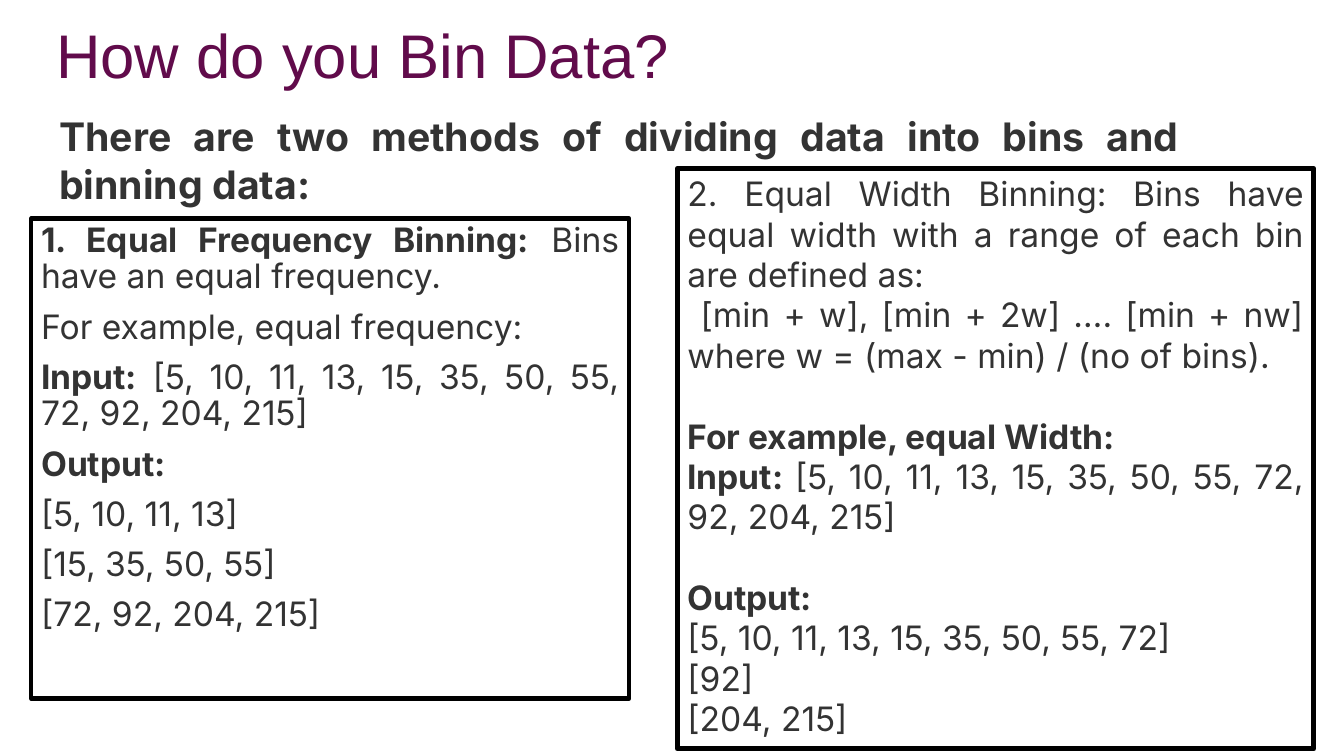
"""Build the slide on two ways of binning data."""
from dataclasses import dataclass

from pptx import Presentation
from pptx.dml.color import RGBColor
from pptx.enum.shapes import MSO_SHAPE
from pptx.enum.text import MSO_ANCHOR, PP_ALIGN
from pptx.slide import Slide
from pptx.util import Pt

RECT = MSO_SHAPE.RECTANGLE
TOP = MSO_ANCHOR.TOP
LEFT = PP_ALIGN.LEFT
JUST = PP_ALIGN.JUSTIFY
SCALE = 9144


@dataclass(frozen=True)
class Theme:
    """Colours, fonts and type sizes."""
    plum: str = "610B4B"
    ink: str = "333333"
    edge: str = "000000"
    paper: str = "FFFFFF"
    head: str = "Arial"
    text: str = "Inter"
    title: int = 44
    lead: int = 28
    body: int = 24


THEME = Theme()


@dataclass(frozen=True)
class Para:
    """A paragraph with an optional bold label before its text."""
    text: str = ""
    label: str = ""
    gap: int = 0


@dataclass(frozen=True)
class Block:
    """A block of text, framed when it has a border width."""
    left: int
    top: int
    width: int
    height: int
    paras: tuple[Para, ...]
    size: int = THEME.body
    face: str = THEME.text
    color: str = THEME.ink
    align: PP_ALIGN = JUST
    lines: float = 1.0
    inset: int = 5
    border: float = 0


BLOCKS = (
    Block(46, 16, 1150, 145, (Para("How do you Bin Data?"),),
          size=THEME.title, face=THEME.head, color=THEME.plum,
          align=LEFT, lines=0.9, inset=9),
    Block(31, 217, 593, 476, (
        Para(" Bins have an equal frequency.", "1. Equal Frequency Binning:"),
        Para("For example, equal frequency:", gap=10),
        Para(" [5, 10, 11, 13, 15, 35, 50, 55, 72, 92, 204, 215]", "Input:", 10),
        Para(label="Output:", gap=10),
        Para("[5, 10, 11, 13]", gap=10),
        Para("[15, 35, 50, 55]", gap=10),
        Para("[72, 92, 204, 215]", gap=10),
    ), lines=0.9, border=3.25),
    Block(672, 167, 631, 576, (
        Para("2. Equal Width Binning: Bins have equal width with a range "
             "of each bin are defined as:"),
        Para(" [min + w], [min + 2w] …. [min + nw] "
             "where w = (max - min) / (no of bins)."),
        Para(label="For example, equal Width:", gap=29),
        Para("[5, 10, 11, 13, 15, 35, 50, 55, 72, 92, 204, 215]", "Input: "),
        Para(label="Output:", gap=29),
        Para("[5, 10, 11, 13, 15, 35, 50, 55, 72]"),
        Para("[92]"),
        Para("[204, 215]"),
    ), border=3.75),
    Block(49, 107, 1130, 57, (
        Para(label="There are two methods of dividing data into bins "
                   "and binning data:"),
    ), size=THEME.lead),
)


def px(count: int) -> int:
    """Turn px into EMU."""
    return count * SCALE


def draw(slide: Slide, block: Block) -> None:
    """Draw one block with its paragraphs."""
    place = [px(n) for n in (block.left, block.top, block.width, block.height)]
    if block.border:
        shape = slide.shapes.add_shape(RECT, *place)
        shape.shadow.inherit = False
        shape.fill.background()
        shape.line.color.rgb = RGBColor.from_string(THEME.edge)
        shape.line.width = Pt(block.border)
    else:
        shape = slide.shapes.add_textbox(*place)
    frame = shape.text_frame
    frame.word_wrap = True
    frame.margin_top = px(block.inset)
    frame.vertical_anchor = TOP
    for num, item in enumerate(block.paras):
        para = frame.add_paragraph() if num else frame.paragraphs[0]
        para.alignment = block.align
        para.line_spacing = block.lines
        para.space_before = Pt(item.gap)
        font = para.font
        font.name = block.face
        font.size = Pt(block.size)
        font.color.rgb = RGBColor.from_string(block.color)
        mixed = bool(item.label and item.text)
        if not mixed:
            font.bold = bool(item.label)
        for text, bold in ((item.label, True), (item.text, False)):
            if text:
                run = para.add_run()
                run.text = text
                if mixed:
                    run.font.bold = bold


def main() -> None:
    """Build and save the slide."""
    deck = Presentation()
    deck.slide_width, deck.slide_height = px(1333), px(750)
    slide = deck.slides.add_slide(deck.slide_layouts[6])
    fill = slide.background.fill
    fill.solid()
    fill.fore_color.rgb = RGBColor.from_string(THEME.paper)
    for block in BLOCKS:
        draw(slide, block)
    deck.save("out.pptx")


if __name__ == "__main__":
    main()
